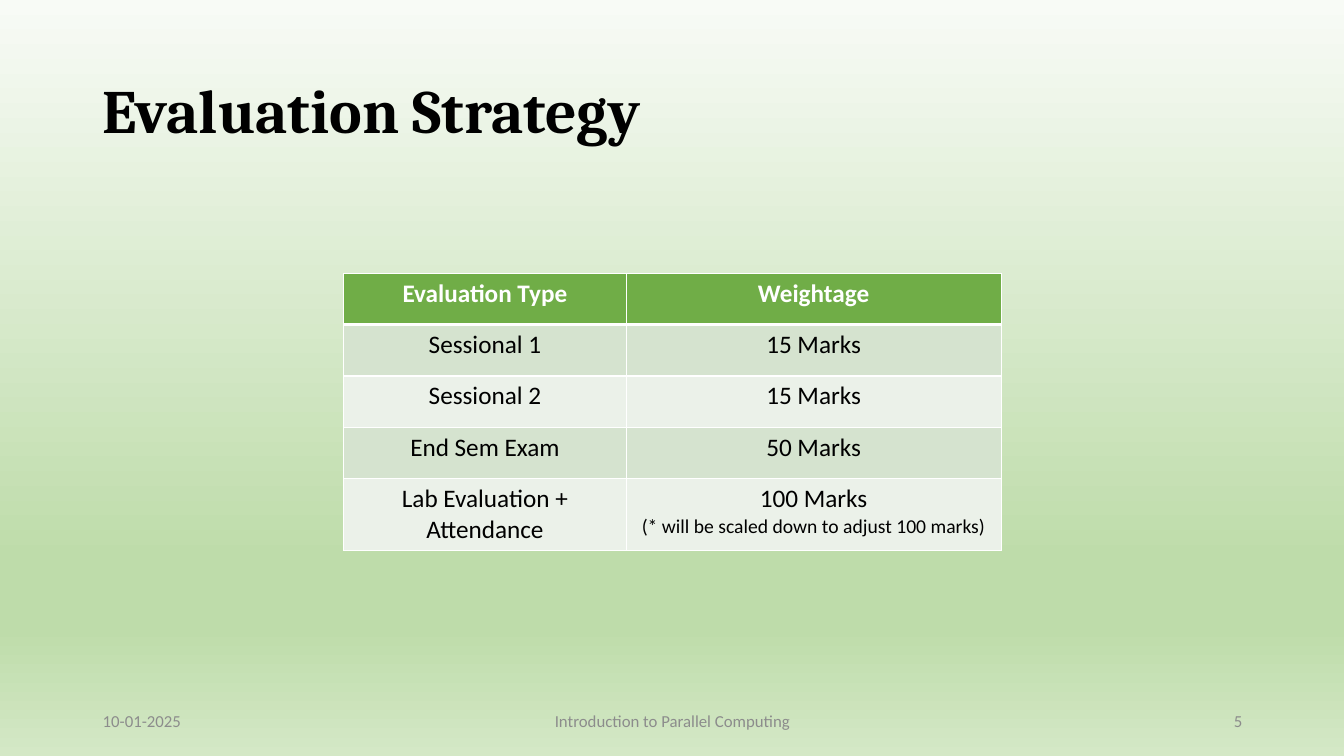
from dataclasses import dataclass

from pptx import Presentation
from pptx.dml.color import RGBColor
from pptx.enum.text import MSO_ANCHOR, PP_ALIGN
from pptx.oxml import parse_xml
from pptx.oxml.ns import nsdecls
from pptx.util import Inches, Pt

LEFT, CENTER, RIGHT = PP_ALIGN.LEFT, PP_ALIGN.CENTER, PP_ALIGN.RIGHT
MIDDLE = MSO_ANCHOR.MIDDLE


@dataclass(frozen=True)
class Theme:
    head: str = "Cambria"
    body: str = "Calibri"
    black: str = "000000"
    white: str = "FFFFFF"
    gray: str = "8C8C8C"
    green: str = "70AD47"
    bands: tuple = ("D5E3CF", "EBF1E9")
    sky: tuple = ((0, "F8FBF6"), (74, "BEDCAA"), (83, "BEDCAA"), (100, "D4E8C6"))
    title: int = 44
    cell: int = 18
    note: int = 14
    foot: int = 12


class Deck:
    def __init__(self, theme):
        self.theme = theme
        self.show = Presentation()
        self.show.slide_width = Inches(13.33)
        self.show.slide_height = Inches(7.5)
        self.slide = self.show.slides.add_slide(self.show.slide_layouts[6])

    def backdrop(self):
        fill = self.slide.background.fill
        fill.gradient()
        fill.gradient_angle = 270
        stops = self.slide.element.xpath(".//a:gsLst")[0]
        for stop in list(stops):
            stops.remove(stop)
        for pos, color in self.theme.sky:
            stops.append(parse_xml(
                f'<a:gs {nsdecls("a")} pos="{pos * 1000}">'
                f'<a:srgbClr val="{color}"/></a:gs>'))

    def style(self, para, text, color, align, **form):
        para.text = text
        para.alignment = align
        para.font.color.rgb = RGBColor.from_string(color)
        for name, value in form.items():
            setattr(para.font, name, value)

    def text(self, box, text, color, align=LEFT, space=None, **form):
        frame = self.slide.shapes.add_textbox(*map(Inches, box)).text_frame
        frame.word_wrap = True
        frame.vertical_anchor = MIDDLE
        para = frame.paragraphs[0]
        para.line_spacing = space
        self.style(para, text, color, align, **form)

    def border(self, cell, widths):
        props = cell._tc.get_or_add_tcPr()
        for side, width in widths.items():
            props.append(parse_xml(
                f'<a:ln{side} {nsdecls("a")} w="{Pt(width)}"><a:solidFill>'
                f'<a:srgbClr val="{self.theme.white}"/></a:solidFill></a:ln{side}>'))

    def table(self, spot, cols, heights, rows):
        look = self.theme
        box = (*spot, sum(cols), sum(heights))
        grid = self.slide.shapes.add_table(
            len(rows), len(cols), *map(Inches, box)).table
        for col, width in zip(grid.columns, cols):
            col.width = Inches(width)
        for r, (height, row) in enumerate(zip(heights, rows)):
            grid.rows[r].height = Inches(height)
            top = r == 0
            # Thick rule under the header, thin rules elsewhere
            widths = {"L": 1, "R": 1, "T": 3 if r == 1 else 1, "B": 3 if top else 1}
            fill = look.green if top else look.bands[(r - 1) % 2]
            color = look.white if top else look.black
            for c, lines in enumerate(row):
                cell = grid.cell(r, c)
                self.border(cell, widths)
                cell.fill.solid()
                cell.fill.fore_color.rgb = RGBColor.from_string(fill)
                frame = cell.text_frame
                for n, line in enumerate(lines):
                    para = frame.add_paragraph() if n else frame.paragraphs[0]
                    self.style(para, line, color, CENTER, name=look.body, bold=top,
                               size=Pt(look.note if n else look.cell))

    def save(self):
        self.show.save("out.pptx")


def main():
    look = Theme()
    deck = Deck(look)
    deck.backdrop()

    # Title
    deck.text((0.92, 0.4, 11.5, 1.45), "Evaluation Strategy", look.black,
              space=0.9, name=look.head, size=Pt(look.title), bold=True)

    # Marks table
    rows = [
        (["Evaluation Type"], ["Weightage"]),
        (["Sessional 1"], ["15 Marks"]),
        (["Sessional 2"], ["15 Marks"]),
        (["End Sem Exam"], ["50 Marks"]),
        (["Lab Evaluation + Attendance"],
         ["100 Marks", "(* will be scaled down to adjust 100 marks)"]),
    ]
    deck.table((3.41, 2.71), (2.8, 3.72), [0.51] * 4 + [0.71], rows)

    # Footer
    for left, width, text, align in (
            (0.92, 3, "10-01-2025", LEFT),
            (4.42, 4.5, "Introduction to Parallel Computing", CENTER),
            (9.42, 3, "5", RIGHT)):
        deck.text((left, 6.95, width, 0.4), text, look.gray, align,
                  name=look.body, size=Pt(look.foot))

    deck.save()


if __name__ == "__main__":
    main()
